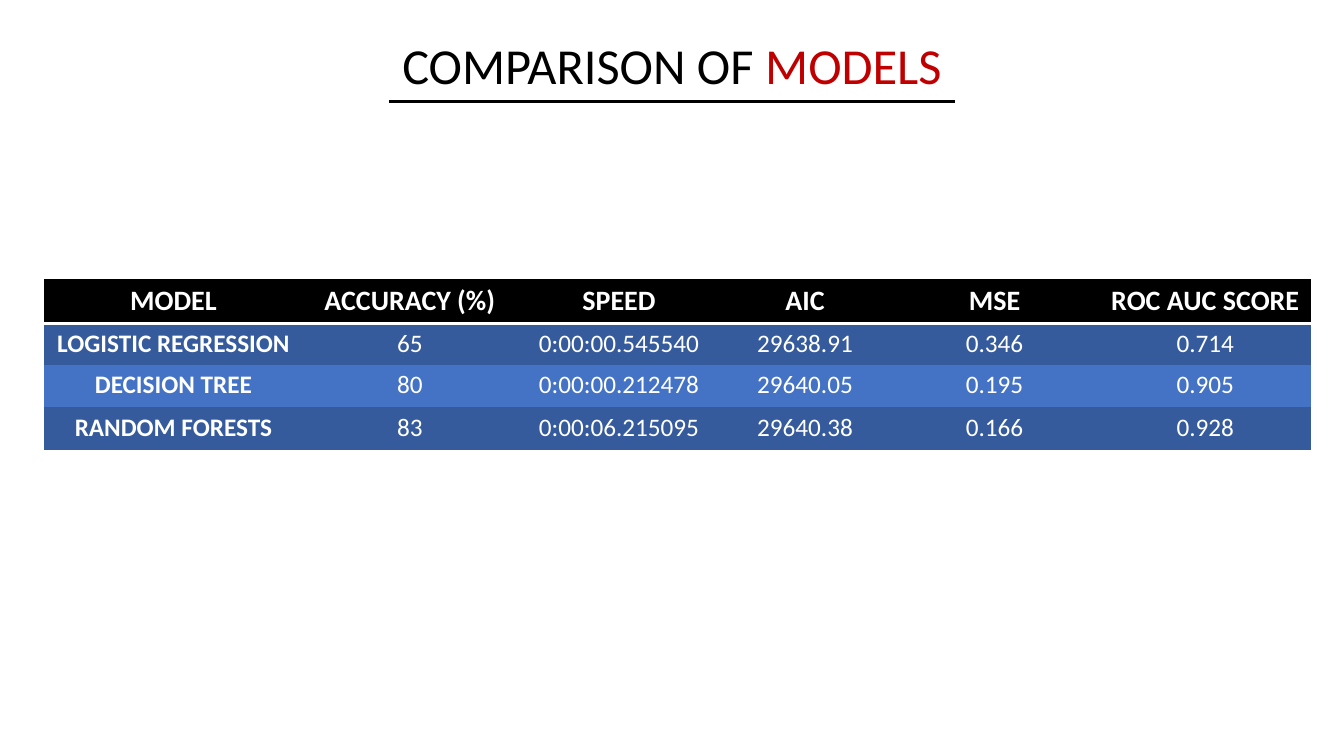
from lxml.etree import SubElement
from pptx import Presentation
from pptx.dml.color import RGBColor
from pptx.enum.shapes import MSO_CONNECTOR
from pptx.enum.text import MSO_ANCHOR, MSO_AUTO_SIZE, PP_ALIGN
from pptx.oxml import parse_xml
from pptx.oxml.ns import nsdecls, qn
from pptx.util import Inches, Pt

BLACK, WHITE, RED = "000000", "FFFFFF", "C00000"
BANDS = ["365B9D", "4472C4"]
PLAIN_STYLE = "{2D5ABB26-0587-4C30-8999-92F81FD0307C}"
COLUMN_WIDTHS = [2.56, 2.13, 2.02, 1.67, 2.09, 2.09]
ROW_HEIGHTS = [0.43, 0.41, 0.42, 0.42]
COMPARISON = [
    ["MODEL", "ACCURACY (%)", "SPEED", "AIC", "MSE", "ROC AUC SCORE"],
    ["LOGISTIC REGRESSION", "65", "0:00:00.545540", "29638.91", "0.346", "0.714"],
    ["DECISION TREE", "80", "0:00:00.212478", "29640.05", "0.195", "0.905"],
    ["RANDOM FORESTS", "83", "0:00:06.215095", "29640.38", "0.166", "0.928"],
]


def rgb(value):
    return RGBColor.from_string(value)


def add_run(paragraph, text, color, **formats):
    run = paragraph.add_run()
    run.text = text
    run.font.color.rgb = rgb(color)
    for name, value in {"name": "Calibri", **formats}.items():
        setattr(run.font, name, value)


def set_title(title):
    place = {"left": 3.52, "top": 0.47, "width": 6.29, "height": 0.41}
    for name, value in place.items():
        setattr(title, name, Inches(value))
    frame = title.text_frame
    formats = {"auto_size": MSO_AUTO_SIZE.NONE, "word_wrap": True,
               "vertical_anchor": MSO_ANCHOR.MIDDLE}
    for name, value in formats.items():
        setattr(frame, name, value)
    heading = frame.paragraphs[0]
    heading.alignment = PP_ALIGN.CENTER
    heading.line_spacing = 0.9
    add_run(heading, "COMPARISON OF ", BLACK, size=Pt(36))
    add_run(heading, "MODELS", RED, size=Pt(36))


def add_rule(slide, left, right, y):
    rule = slide.shapes.add_connector(
        MSO_CONNECTOR.STRAIGHT, Inches(left), Inches(y), Inches(right), Inches(y))
    rule.line.color.rgb = rgb(BLACK)
    rule.line.width = Pt(2.25)
    SubElement(rule.element.spPr, qn("a:effectLst"))


def add_bottom_border(cell, color, width):
    border = parse_xml(
        f'<a:lnB {nsdecls("a")} w="{Pt(width)}"><a:solidFill>'
        f'<a:srgbClr val="{color}"/></a:solidFill></a:lnB>')
    cell._tc.get_or_add_tcPr().insert(0, border)


def fill_cell(cell, text, fill, size, bold):
    cell.fill.solid()
    cell.fill.fore_color.rgb = rgb(fill)
    paragraph = cell.text_frame.paragraphs[0]
    paragraph.alignment = PP_ALIGN.CENTER
    add_run(paragraph, text, WHITE, size=Pt(size), bold=bold)


def add_comparison(slide, left, top):
    frame = slide.shapes.add_table(
        len(ROW_HEIGHTS), len(COLUMN_WIDTHS), Inches(left), Inches(top),
        Inches(sum(COLUMN_WIDTHS)), Inches(sum(ROW_HEIGHTS)))
    table = frame.table
    table._tbl.tblPr.find(qn("a:tableStyleId")).text = PLAIN_STYLE
    for column, width in zip(table.columns, COLUMN_WIDTHS):
        column.width = Inches(width)
    for row_index, (row, height) in enumerate(zip(table.rows, ROW_HEIGHTS)):
        row.height = Inches(height)
        header = row_index == 0
        fill = BLACK if header else BANDS[(row_index - 1) % 2]
        for column_index, cell in enumerate(row.cells):
            fill_cell(cell, COMPARISON[row_index][column_index], fill,
                      20 if header else 18, header or column_index == 0)
            if header:
                add_bottom_border(cell, WHITE, 2)


def main():
    """Build the model comparison slide."""
    presentation = Presentation()
    presentation.slide_width = Inches(13.33)
    presentation.slide_height = Inches(7.5)
    slide = presentation.slides.add_slide(presentation.slide_layouts[5])
    set_title(slide.shapes.title)
    add_rule(slide, 3.86, 9.47, 1.01)
    add_comparison(slide, 0.44, 2.77)
    presentation.save("out.pptx")


if __name__ == "__main__":
    main()
